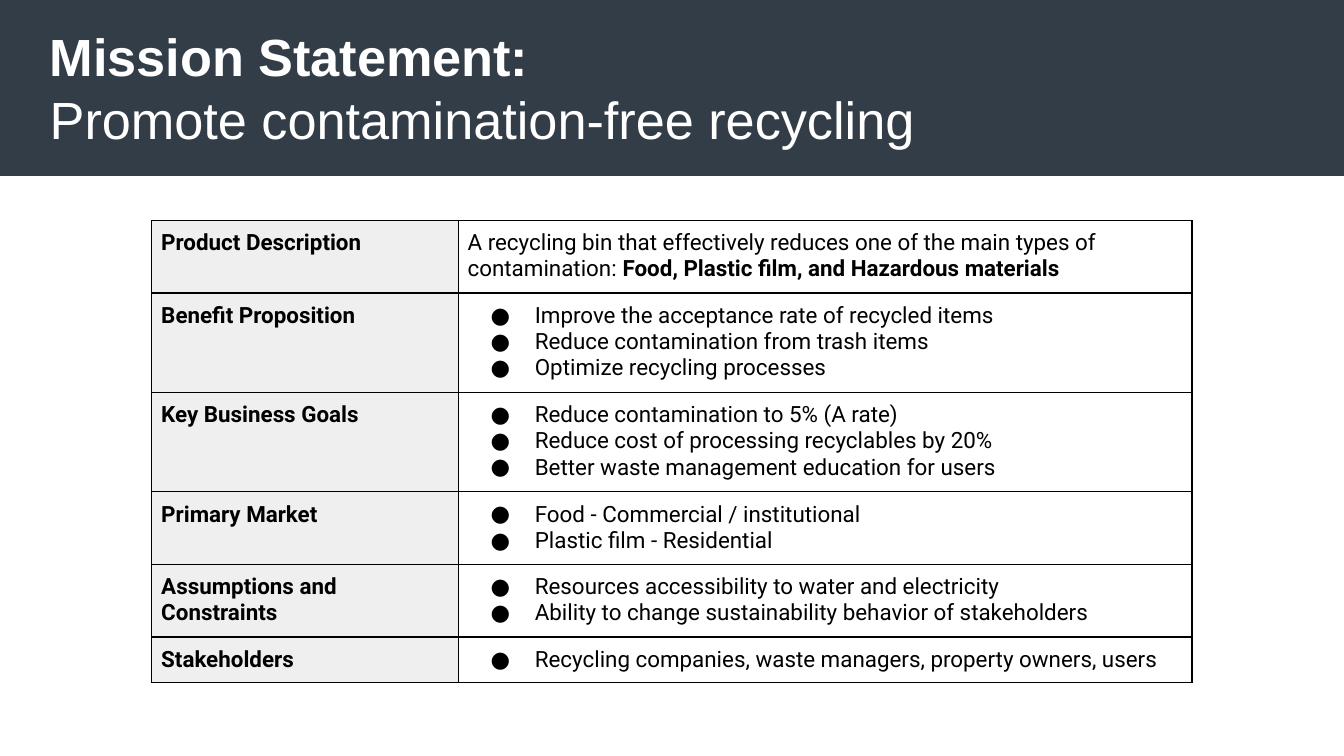
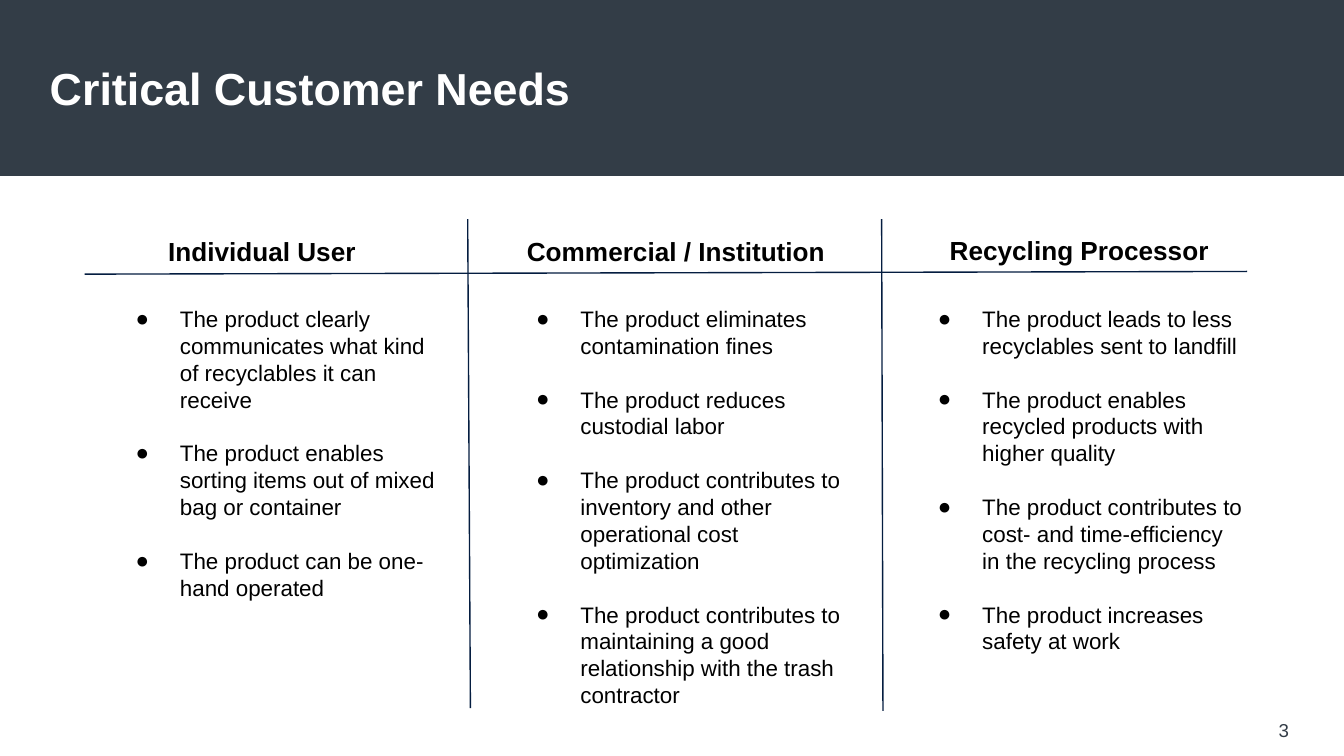
from lxml import etree
from pptx import Presentation
from pptx.dml.color import RGBColor
from pptx.enum import shapes, text
from pptx.oxml.ns import qn
from pptx.util import Inches, Pt

HUES = {"band": "333D47", "white": "FFFFFF", "black": "000000",
        "label": "EFEFEF", "rule": "041D40", "page": "333C47"}

MISSION = [
    ("Product Description", None),
    ("Benefit Proposition", [
        "Improve the acceptance rate of recycled items",
        "Reduce contamination from trash items",
        "Optimize recycling processes"]),
    ("Key Business Goals", [
        "Reduce contamination to 5% (A rate)",
        "Reduce cost of processing recyclables by 20%",
        "Better waste management education for users"]),
    ("Primary Market", [
        "Food - Commercial / institutional",
        "Plastic film - Residential"]),
    ("Assumptions and Constraints", [
        "Resources accessibility to water and electricity",
        "Ability to change sustainability behavior of stakeholders"]),
    ("Stakeholders", [
        "Recycling companies, waste managers, property owners, users"]),
]
PRODUCT = [
    ("A recycling bin that effectively reduces one of the main types of "
     "contamination: ", False),
    ("Food, Plastic film, and Hazardous materials", True),
]

# Heading, its left and top, left of the list, needs
NEEDS = [
    ("Individual User", 0.66, 1.65, 0.74, [
        "The product clearly communicates what kind of recyclables it can receive",
        "The product enables sorting items out of mixed bag or container",
        "The product can be one-hand operated"]),
    ("Commercial / Institution", 3.74, 1.65, 3.72, [
        "The product eliminates contamination fines",
        "The product reduces custodial labor",
        "The product contributes to inventory and other operational cost optimization",
        "The product contributes to maintaining a good relationship with the trash contractor"]),
    ("Recycling Processor", 6.74, 1.64, 6.71, [
        "The product leads to less recyclables sent to landfill",
        "The product enables recycled products with higher quality",
        "The product contributes to cost- and time-efficiency in the recycling process",
        "The product increases safety at work"]),
]
RULES = [(0.63, 2.04, 9.28, 2.02), (3.48, 1.63, 3.5, 5.27), (6.56, 1.63, 6.57, 5.29)]


def hue(name):
    return RGBColor.from_string(HUES[name])


def add_run(para, words, size, bold=False, color="black", face="Arial"):
    run = para.add_run()
    run.text = words
    font = run.font
    font.size, font.bold, font.name = Pt(size), bold, face
    font.color.rgb = hue(color)


def add_bullet(para, face):
    """Give the paragraph a hanging round bullet."""
    props = para._p.get_or_add_pPr()
    props.set("marL", str(Inches(0.5)))
    props.set("indent", str(-Inches(0.33)))
    tint = etree.SubElement(props, qn("a:buClr"))
    etree.SubElement(tint, qn("a:srgbClr"), val=HUES["black"])
    etree.SubElement(props, qn("a:buSzPts"), val="1200")
    etree.SubElement(props, qn("a:buFont"), typeface=face)
    etree.SubElement(props, qn("a:buChar"), char="●")


def next_para(frame, index):
    return frame.add_paragraph() if index else frame.paragraphs[0]


def add_list(frame, items, face="Arial", gap=0):
    for index, item in enumerate(items):
        para = next_para(frame, index)
        if index and gap:
            para.space_before = Pt(gap)
        add_bullet(para, face)
        add_run(para, item, 12, face=face)


def add_box(slide, left, top, width, height, inset=0.1, anchor="TOP"):
    box = slide.shapes.add_textbox(*map(Inches, (left, top, width, height)))
    frame = box.text_frame
    frame.word_wrap = True
    frame.margin_left = frame.margin_right = Inches(inset)
    frame.margin_top = frame.margin_bottom = Inches(inset)
    frame.vertical_anchor = text.MSO_ANCHOR[anchor]
    return frame


def add_slide(deck, title, size):
    """Add a blank slide with the dark band and title lines of (words, bold)."""
    slide = deck.slides.add_slide(deck.slide_layouts[6])
    band = slide.shapes.add_shape(shapes.MSO_SHAPE.RECTANGLE, 0, 0,
                                  deck.slide_width, Inches(1.31))
    band.shadow.inherit = False
    band.fill.solid()
    band.fill.fore_color.rgb = hue("band")
    band.line.fill.background()
    frame = add_box(slide, 0.37, 0, 9.19, 1.3, 0, "MIDDLE")
    for index, (words, bold) in enumerate(title):
        add_run(next_para(frame, index), words, size, bold, "white")
    return slide


def add_rule(slide, *ends):
    line = slide.shapes.add_connector(shapes.MSO_CONNECTOR.STRAIGHT,
                                      *map(Inches, ends))
    line.line.color.rgb = hue("rule")
    line.line.width = Pt(0.75)
    etree.SubElement(line._element.spPr, qn("a:effectLst"))


def style_cell(cell, fill=None):
    """Set the insets, thin black borders and fill of a cell."""
    cell.margin_left = cell.margin_right = Inches(0.07)
    cell.margin_top = cell.margin_bottom = Inches(0.07)
    props = cell._tc.get_or_add_tcPr()
    for side in ("lnL", "lnR", "lnT", "lnB"):
        edge = etree.SubElement(props, qn("a:" + side), w=str(Pt(0.75)))
        solid = etree.SubElement(edge, qn("a:solidFill"))
        etree.SubElement(solid, qn("a:srgbClr"), val=HUES["black"])
    if fill:
        cell.fill.solid()
        cell.fill.fore_color.rgb = hue(fill)
    else:
        cell.fill.background()


def add_table(slide, rows):
    counts = [len(items) if items else 2 for _, items in rows]
    heights = [0.14 + 0.19 * count for count in counts]
    table = slide.shapes.add_table(
        len(rows), 2, Inches(1.13), Inches(1.64),
        Inches(7.74), Inches(sum(heights))).table
    table.first_row = table.horz_banding = False
    table.columns[0].width, table.columns[1].width = Inches(2.28), Inches(5.46)
    for index, (label, items) in enumerate(rows):
        table.rows[index].height = Inches(heights[index])
        head, body = table.cell(index, 0), table.cell(index, 1)
        style_cell(head, "label")
        style_cell(body)
        add_run(head.text_frame.paragraphs[0], label, 12, True, face="Roboto")
        if items:
            add_list(body.text_frame, items, "Roboto")
        else:
            for words, bold in PRODUCT:
                add_run(body.text_frame.paragraphs[0], words, 12, bold, face="Roboto")


def add_column(slide, label, left, top, start, items):
    para = add_box(slide, left, top, 2.58, 0.39).paragraphs[0]
    para.alignment = text.PP_ALIGN.CENTER
    add_run(para, label, 14, True)
    add_list(add_box(slide, start, 2.17, 2.65, 3.2), items, gap=14.4)


def add_page(slide, number):
    para = add_box(slide, 7.34, 5.24, 2.25, 0.39, 0, "MIDDLE").paragraphs[0]
    para.alignment = text.PP_ALIGN.RIGHT
    add_run(para, number, 10, color="page")


def main():
    deck = Presentation()
    deck.slide_width = Inches(10)
    deck.slide_height = deck.slide_width * 9 // 16

    slide = add_slide(deck, [("Mission Statement:", True),
                             ("Promote contamination-free recycling", False)], 28)
    add_table(slide, MISSION)

    slide = add_slide(deck, [("Critical Customer Needs", True)], 24)
    for ends in RULES:
        add_rule(slide, *ends)
    for column in NEEDS:
        add_column(slide, *column)
    add_page(slide, "3")
    deck.save("out.pptx")


if __name__ == "__main__":
    main()
